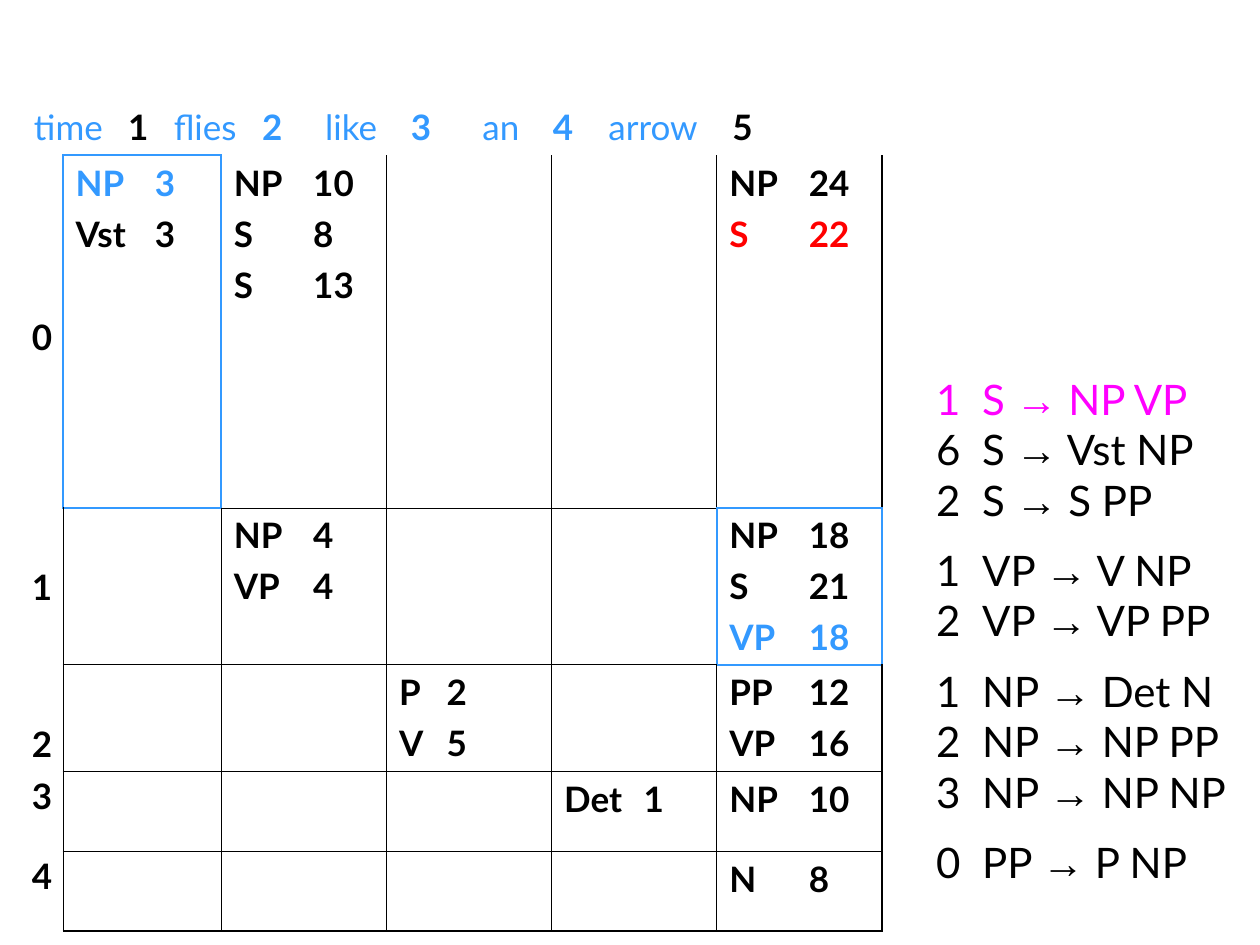
import dataclasses

import pptx
import pptx.util
import pptx.dml.color
import pptx.enum.text
import pptx.oxml
import pptx.oxml.ns

Cm, Pt = pptx.util.Cm, pptx.util.Pt
PP_ALIGN = pptx.enum.text.PP_ALIGN
CENTER, LEFT = PP_ALIGN.CENTER, PP_ALIGN.LEFT


@dataclasses.dataclass(frozen=True)
class Theme:
    black: str = "000000"
    blue: str = "3399FF"
    red: str = "FF0000"
    magenta: str = "FF00FF"
    font: str = "Lato"
    arrow_font: str = "Arial"
    chart_size: float = 20
    rule_size: float = 24
    thin: float = 0.45
    thick: float = 1.08
    plain_table: str = "{2D5ABB26-0587-4C30-8999-92F81FD0307C}"


T = Theme()

# Words and the positions between them: text, tab stop in cm, colour, bold
SENTENCE = [
    ("time", 0, T.blue, False), ("1", 1.9, T.black, True),
    ("flies", 2.82, T.blue, False), ("2", 4.6, T.blue, True),
    ("like", 5.87, T.blue, False), ("3", 7.6, T.blue, True),
    ("an", 9.04, T.blue, False), ("4", 10.46, T.blue, True),
    ("arrow", 11.58, T.blue, False), ("5", 14.08, T.black, True),
]
# Start position and the space above it in cm, one per chart row
ROW_LABELS = [("0", 3.23), ("1", 1.17), ("2", 1.17), ("3", 0.07), ("4", 0.07)]
# (row, column) of the chart: constituents with their weights
ENTRIES = {
    (1, 1): [("NP", 3), ("Vst", 3)],
    (1, 2): [("NP", 10), ("S", 8), ("S", 13)],
    (1, 5): [("NP", 24), ("S", 22)],
    (2, 2): [("NP", 4), ("VP", 4)],
    (2, 5): [("NP", 18), ("S", 21), ("VP", 18)],
    (3, 3): [("P", 2), ("V", 5)],
    (3, 5): [("PP", 12), ("VP", 16)],
    (4, 4): [("Det", 1)],
    (4, 5): [("NP", 10)],
    (5, 5): [("N", 8)],
}
ENTRY_COLORS = {(1, 1, 0): T.blue, (1, 5, 1): T.red, (2, 5, 2): T.blue}
COMBINED = {(1, 1), (2, 5)}
COL_WIDTHS = [0.84, 3.19] + [3.33] * 4
ROW_HEIGHTS = [1.12, 7.11, 3.15, 2.13, 1.61, 1.61]
LAST_ROW, LAST_COL = len(ROW_HEIGHTS) - 1, len(COL_WIDTHS) - 1
SIDES = {"L": (0, -1), "R": (0, 1), "T": (-1, 0), "B": (1, 0)}

# Grammar rules in groups by left-hand side: weight, left, right
GRAMMAR = [
    [(1, "S", "NP VP"), (6, "S", "Vst NP"), (2, "S", "S PP")],
    [(1, "VP", "V NP"), (2, "VP", "VP PP")],
    [(1, "NP", "Det N"), (2, "NP", "NP PP"), (3, "NP", "NP NP")],
    [(0, "PP", "P NP")],
]


def border_format(row, col, side):
    """Return (colour, width) of a cell edge, or None where no line is drawn."""
    dr, dc = SIDES[side]
    if COMBINED & {(row, col), (row + dr, col + dc)}:
        return T.blue, T.thick
    if row == 0 or (row, side) == (1, "T") or (col == 0 and side != "R"):
        return None
    outer = (col, side) == (LAST_COL, "R") or (row, side) == (LAST_ROW, "B")
    return T.black, T.thick if outer else T.thin


class ChartSlide:
    def __init__(self, prs, theme):
        self.theme = theme
        self.s = prs.slides.add_slide(prs.slide_layouts[6])

    def paragraph(self, tf, index, runs, tabs=(), align=LEFT, before=0):
        """Fill paragraph number index; runs are (text, font format) pairs."""
        p = tf.paragraphs[0] if index == 0 else tf.add_paragraph()
        p.alignment = align
        if index and before:
            p.space_before = Pt(before)
        if tabs:
            xml = "".join(f'<a:tab pos="{Cm(t)}" algn="l"/>' for t in tabs)
            ns = pptx.oxml.ns.nsdecls("a")
            p._p.get_or_add_pPr().append(
                pptx.oxml.parse_xml(f"<a:tabLst {ns}>{xml}</a:tabLst>"))
        for text, fmt in runs:
            r = p.add_run()
            r.text = text
            for name, value in fmt.items():
                if name == "color":
                    r.font.color.rgb = pptx.dml.color.RGBColor.from_string(value)
                else:
                    setattr(r.font, name, value)

    def font(self, size, color, bold=False, name=None):
        return dict(size=Pt(size), color=color, bold=bold,
                    name=name or self.theme.font)

    def border(self, cell, side, fmt):
        ns = pptx.oxml.ns.nsdecls("a")
        if fmt:
            color, width = fmt
            xml = (f'<a:ln{side} {ns} w="{Pt(width)}"><a:solidFill>'
                   f'<a:srgbClr val="{color}"/></a:solidFill></a:ln{side}>')
        else:
            xml = f'<a:ln{side} {ns} w="0"><a:noFill/></a:ln{side}>'
        cell._tc.get_or_add_tcPr().append(pptx.oxml.parse_xml(xml))

    def grid(self, left, top):
        """Add the empty, ruled table with its header row merged."""
        frame = self.s.shapes.add_table(
            len(ROW_HEIGHTS), len(COL_WIDTHS), Cm(left), Cm(top),
            Cm(sum(COL_WIDTHS)), Cm(sum(ROW_HEIGHTS)))
        table = frame.table
        table.first_row = table.horz_banding = False
        table._tbl.tblPr.find(pptx.oxml.ns.qn("a:tableStyleId")).text = self.theme.plain_table
        for column, width in zip(table.columns, COL_WIDTHS):
            column.width = Cm(width)
        for row, height in zip(table.rows, ROW_HEIGHTS):
            row.height = Cm(height)
        for row in range(LAST_ROW + 1):
            for col in range(LAST_COL + 1):
                cell = table.cell(row, col)
                for side in SIDES:
                    self.border(cell, side, border_format(row, col, side))
                cell.fill.background()
        table.cell(0, 0).merge(table.cell(0, LAST_COL))
        return table

    def parse_chart(self, left, top):
        th = self.theme
        table = self.grid(left, top)
        words = [("\t" * (i > 0) + text, self.font(th.chart_size, color, bold))
                 for i, (text, _, color, bold) in enumerate(SENTENCE)]
        self.paragraph(table.cell(0, 0).text_frame, 0, words,
                       tabs=[stop for _, stop, _, _ in SENTENCE[1:]])
        for row, (label, space) in enumerate(ROW_LABELS, 1):
            cell = table.cell(row, 0)
            cell.margin_left = cell.margin_right = 0
            cell.margin_top = Cm(space)
            self.paragraph(cell.text_frame, 0,
                           [(label, self.font(th.chart_size, th.black, True))],
                           align=CENTER)
        for (row, col), items in ENTRIES.items():
            tf = table.cell(row, col).text_frame
            for i, (symbol, weight) in enumerate(items):
                color = ENTRY_COLORS.get((row, col, i), th.black)
                self.paragraph(tf, i, [(f"{symbol}\t{weight}",
                                        self.font(th.chart_size, color, True))],
                               tabs=[0.96 if col == 3 else 1.6], before=5)

    def grammar(self, left, top, width, height):
        th = self.theme
        tf = self.s.shapes.add_textbox(Cm(left), Cm(top), Cm(width), Cm(height)).text_frame
        tf.word_wrap = True
        index = 0
        for group in GRAMMAR:
            for i, (weight, lhs, rhs) in enumerate(group):
                color = th.black if index else th.magenta
                text = self.font(th.rule_size, color)
                arrow = self.font(th.rule_size, color, name=th.arrow_font)
                self.paragraph(tf, index, [(f"{weight}\t{lhs} ", text), ("→", arrow),
                                           (f" {rhs}", text)],
                               tabs=[0.93], before=0 if i else 11.5)
                index += 1


def main():
    prs = pptx.Presentation()
    prs.slide_width, prs.slide_height = Cm(25.4), Cm(19.05)
    slide = ChartSlide(prs, T)
    slide.parse_chart(0.43, 2.01)
    slide.grammar(18.62, 7.4, 6.78, 10.62)
    prs.save("out.pptx")


if __name__ == "__main__":
    main()
